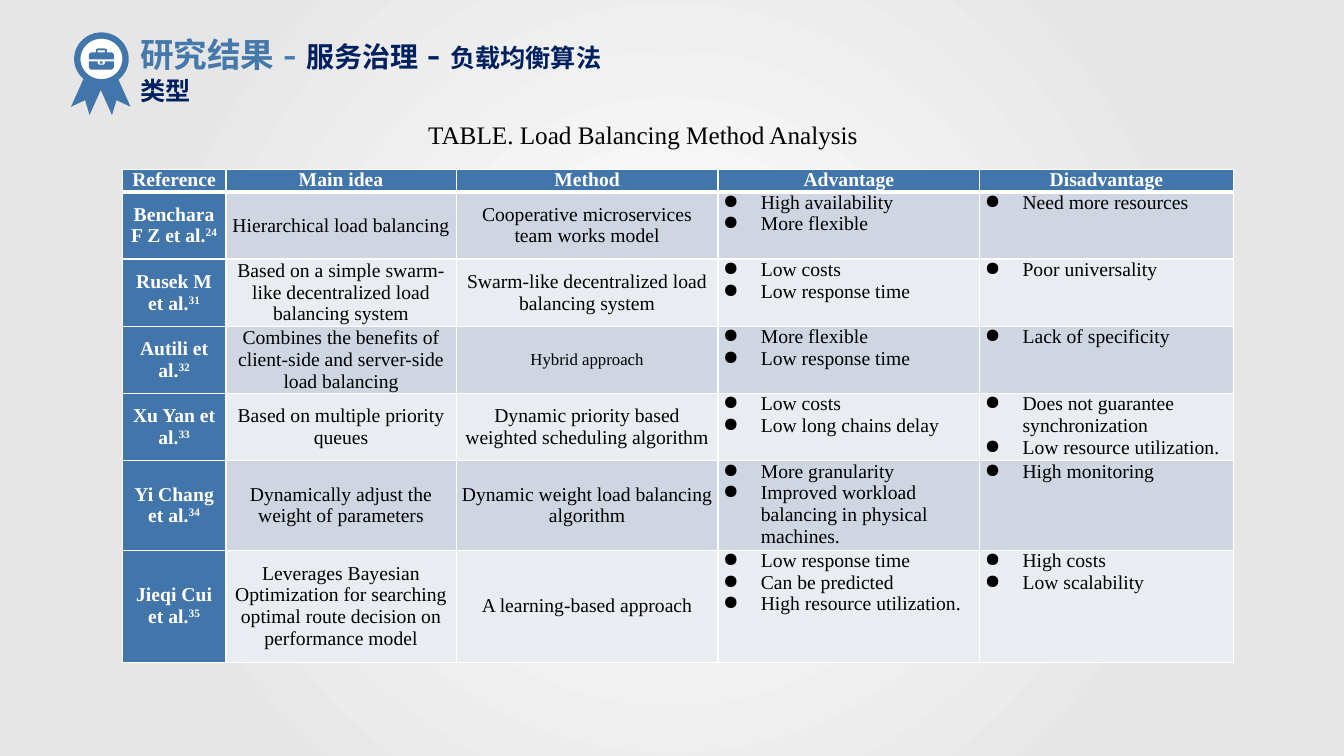
"""Build the load balancing method analysis slide."""
import dataclasses

import lxml.etree
import pptx
import pptx.dml.color
import pptx.enum.shapes
import pptx.enum.text
import pptx.oxml
import pptx.oxml.ns
import pptx.util

Pt = pptx.util.Pt
qn = pptx.oxml.ns.qn
Rgb = pptx.dml.color.RGBColor.from_string
Shape = pptx.enum.shapes.MSO_SHAPE
Align = pptx.enum.text.PP_ALIGN
Anchor = pptx.enum.text.MSO_ANCHOR
Fit = pptx.enum.text.MSO_AUTO_SIZE


@dataclasses.dataclass(frozen=True)
class Theme:
    font: str = "Times New Roman"
    blue: str = "4276AA"
    title_blue: str = "4578AB"
    navy: str = "002060"
    black: str = "000000"
    white: str = "FFFFFF"
    edge_grey: str = "E6E6E6"
    bands: tuple = ("CFD6E2", "E9ECF1")
    title: int = 24
    dash: int = 28
    subject: int = 20
    topic: int = 18
    caption: int = 18
    cell: int = 14
    small: int = 12


theme = Theme()


def write(para, text, size, color, bold=False):
    span = para.add_run()
    span.text = text
    span.font.name = theme.font
    span.font.size = Pt(size)
    span.font.bold = bold
    span.font.color.rgb = Rgb(color)
    return span


def paint(shape, color):
    shape.shadow.inherit = False
    shape.fill.solid()
    shape.fill.fore_color.rgb = Rgb(color)
    shape.line.fill.background()


deck = pptx.Presentation()
deck.slide_width, deck.slide_height = Pt(960), Pt(540)
page = deck.slides.add_slide(deck.slide_layouts[5])

backdrop = page.background.fill
backdrop.gradient()
for stop, color, position in zip(backdrop.gradient_stops, (theme.white, theme.edge_grey), (0, 0.73)):
    stop.color.rgb = Rgb(color)
    stop.position = position
gradient = page.background._cSld.find(".//" + qn("a:gradFill"))
linear = gradient.find(qn("a:lin"))
radial = lxml.etree.SubElement(gradient, qn("a:path"), path="circle")
lxml.etree.SubElement(radial, qn("a:fillToRect"), l="50000", t="50000", r="50000", b="50000")
gradient.replace(linear, radial)

title = page.shapes.title
title.left, title.top, title.width, title.height = Pt(100), Pt(24), Pt(346), Pt(48)
frame = title.text_frame
frame.margin_left = frame.margin_top = frame.margin_right = frame.margin_bottom = 0
frame.word_wrap = False
frame.auto_size = Fit.NONE
frame.vertical_anchor = Anchor.MIDDLE
frame.paragraphs[0].alignment = Align.LEFT
for text, size, color in (
    ("研究结果", theme.title, theme.title_blue),
    (" - ", theme.dash, theme.title_blue),
    ("服务治理", theme.subject, theme.navy),
    (" - ", theme.dash, theme.navy),
    ("负载均衡算法类型", theme.topic, theme.navy),
):
    write(frame.paragraphs[0], text, size, color, True)

badge = page.shapes.add_group_shape()
for left, rotation in ((62, 245.9), (47, 294.1)):
    ribbon = badge.shapes.add_shape(Shape.NOTCHED_RIGHT_ARROW, Pt(left), Pt(56), Pt(35), Pt(14.5))
    ribbon.adjustments[0], ribbon.adjustments[1] = 1, 0.58
    ribbon.rotation = rotation
    paint(ribbon, theme.blue)
medal = badge.shapes.add_shape(Shape.OVAL, Pt(55.2), Pt(25.4), Pt(34.5), Pt(33.4))
paint(medal, theme.white)
medal.line.color.rgb = Rgb(theme.blue)
medal.line.width = Pt(4.5)

lid = [(814, 425), (634, 425), (634, 389), (648, 374), (684, 374), (684, 353), (698, 346),
       (749, 346), (763, 353), (763, 374), (799, 374), (814, 389)]
body = [(814, 482), (799, 497), (648, 497), (634, 482), (634, 439), (698, 439), (698, 454),
        (706, 461), (742, 461), (749, 454), (749, 439), (814, 439)]
handle = [(749, 374), (749, 360), (698, 360), (698, 374)]
clasp = [(734, 454), (713, 454), (713, 439), (734, 439)]
outline = badge.shapes.build_freeform(*lid[0], scale=Pt(0.1))
outline.add_line_segments(lid[1:], close=True)
for contour in (body, handle, clasp):
    outline.move_to(*contour[0])
    outline.add_line_segments(contour[1:], close=True)
paint(outline.convert_to_shape(), theme.blue)

headings = ("Reference", "Main idea", "Method", "Advantage", "Disadvantage")
methods = (
    ("Benchara F Z et al.", "24", "Hierarchical load balancing",
     "Cooperative microservices team works model",
     ("High availability", "More flexible"), ("Need more resources",)),
    ("Rusek M et al.", "31", "Based on a simple swarm-like decentralized load balancing system",
     "Swarm-like decentralized load balancing system",
     ("Low costs", "Low response time"), ("Poor universality",)),
    ("Autili et al.", "32", "Combines the benefits of client-side and server-side load balancing",
     "Hybrid approach",
     ("More flexible", "Low response time"), ("Lack of specificity",)),
    ("Xu Yan et al.", "33", "Based on multiple priority queues",
     "Dynamic priority based weighted scheduling algorithm",
     ("Low costs", "Low long chains delay"),
     ("Does not guarantee synchronization", "Low resource utilization.")),
    ("Yi Chang et al.", "34", "Dynamically adjust the weight of parameters",
     "Dynamic weight load balancing algorithm",
     ("More granularity", "Improved workload balancing in physical machines."),
     ("High monitoring",)),
    ("Jieqi Cui et al.", "35",
     "Leverages Bayesian Optimization for searching optimal route decision on performance model",
     "A learning-based approach",
     ("Low response time", "Can be predicted", "High resource utilization."),
     ("High costs", "Low scalability")),
)
widths = (74, 164.5, 187, 187, 181)
heights = (16, 48, 48, 48, 48, 64, 80)
table = page.shapes.add_table(len(heights), len(widths), Pt(87.4), Pt(121),
                              Pt(sum(widths)), Pt(sum(heights))).table
table.horz_banding = False
for column, width in zip(table.columns, widths):
    column.width = Pt(width)
for row, height in zip(table.rows, heights):
    row.height = Pt(height)

for row_index in range(len(heights)):
    for column_index in range(len(widths)):
        cell = table.cell(row_index, column_index)
        cell.margin_left = cell.margin_right = Pt(3.6)
        cell.margin_top = cell.margin_bottom = 0
        for side in ("lnL", "lnR", "lnT", "lnB"):
            thick = (row_index, side) in ((0, "lnB"), (1, "lnT"))
            border = lxml.etree.SubElement(cell._tc.get_or_add_tcPr(), qn("a:" + side),
                                           w=str(Pt(3 if thick else 1)))
            solid = lxml.etree.SubElement(border, qn("a:solidFill"))
            lxml.etree.SubElement(solid, qn("a:srgbClr"), val=theme.white)
        cell.fill.solid()
        labelled = row_index == 0 or column_index == 0
        cell.fill.fore_color.rgb = Rgb(theme.blue if labelled else theme.bands[(row_index - 1) % 2])

        para = cell.text_frame.paragraphs[0]
        if row_index == 0:
            para.alignment = Align.CENTER
            write(para, headings[column_index], theme.cell, theme.white, True)
            continue
        author, citation, *details = methods[row_index - 1]
        if column_index < 3:
            cell.vertical_anchor = Anchor.MIDDLE
            para.alignment = Align.CENTER
        if column_index == 0:
            write(para, author, theme.cell, theme.white, True)
            mark = write(para, citation, theme.cell, theme.white, True)
            mark._r.get_or_add_rPr().set("baseline", "30000")
        elif column_index < 3:
            text = details[column_index - 1]
            size = theme.small if text == "Hybrid approach" else theme.cell
            write(para, text, size, theme.black)
        else:
            for number, point in enumerate(details[column_index - 1]):
                if number:
                    para = cell.text_frame.add_paragraph()
                settings = para._p.get_or_add_pPr()
                settings.set("marL", str(Pt(27)))
                settings.set("indent", str(-Pt(27)))
                lxml.etree.SubElement(settings, qn("a:buChar"), char="●")
                write(para, point, theme.cell, theme.black)

caption = page.shapes.add_textbox(Pt(298.8), Pt(82), Pt(363), Pt(29))
caption.text_frame.word_wrap = True
write(caption.text_frame.paragraphs[0], "TABLE. Load Balancing Method Analysis",
      theme.caption, theme.black)

deck.save("out.pptx")
